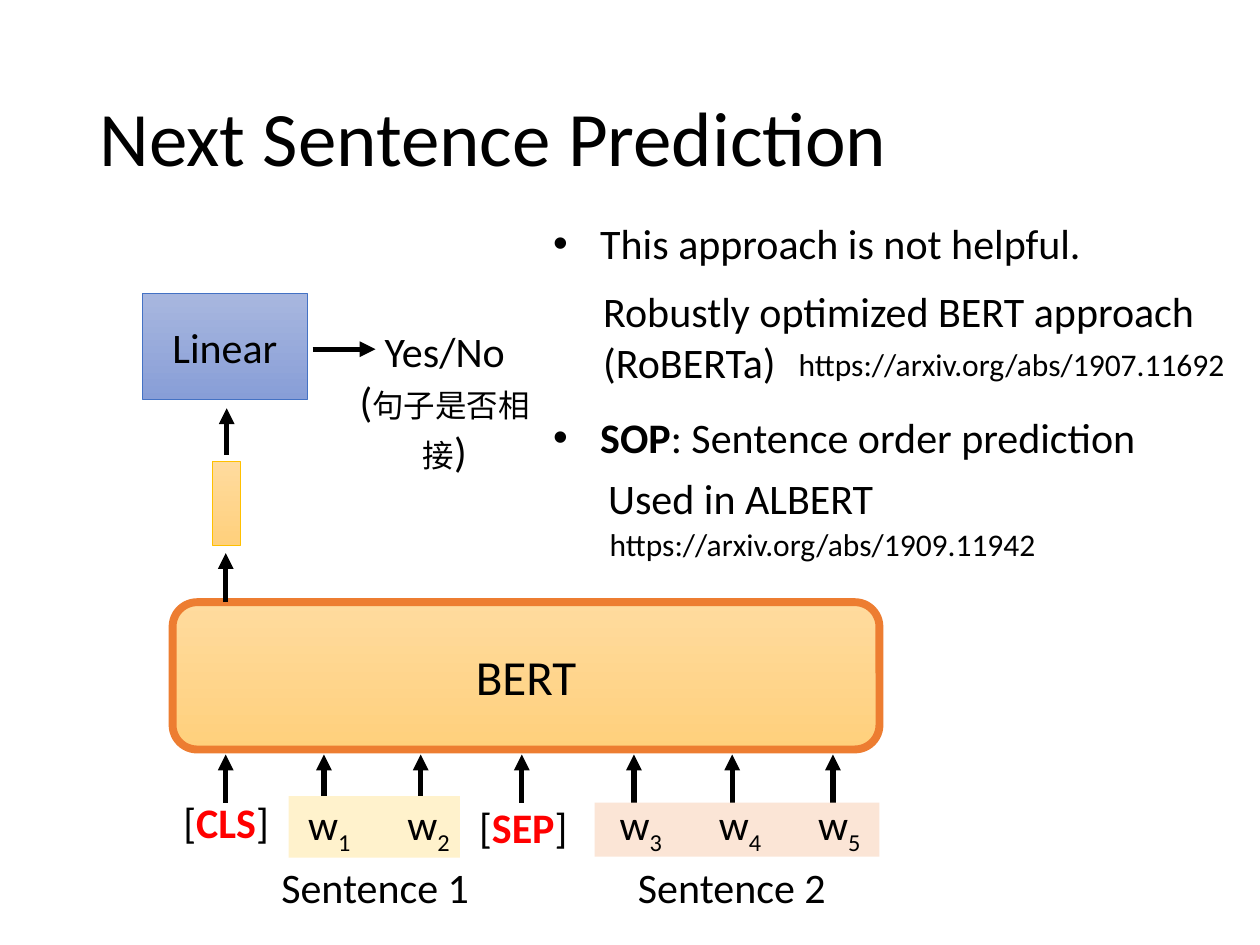
from dataclasses import dataclass

import lxml.etree
import pptx
import pptx.dml.color
import pptx.enum.shapes
import pptx.enum.text
import pptx.oxml.ns
import pptx.util

Cm = pptx.util.Cm
Pt = pptx.util.Pt
qn = pptx.oxml.ns.qn
SHAPES = pptx.enum.shapes.MSO_SHAPE
ALIGN = pptx.enum.text.PP_ALIGN
ANCHOR = pptx.enum.text.MSO_ANCHOR


@dataclass(frozen=True)
class Theme:
    font: str = "Calibri"
    ink: str = "000000"
    token: str = "FF0000"
    warm: tuple = ("FFDB9E", "FFD07C")
    cool: tuple = ("A8B7DF", "889ED7")
    model_edge: str = "ED7D31"
    vector_edge: str = "FFC000"
    linear_edge: str = "4472C4"
    first_band: str = "FFF2CC"
    second_band: str = "FBE5D6"
    title: int = 44
    model: int = 28
    body: int = 24
    small: int = 18
    arrow: int = 3


THEME = Theme()


def rgb(code):
    return pptx.dml.color.RGBColor.from_string(code)


def add_run(paragraph, text, size=THEME.body, color=THEME.ink, bold=False, subscript=False):
    run = paragraph.add_run()
    run.text = text
    run.font.name = THEME.font
    run.font.size = Pt(size)
    run.font.bold = bold
    run.font.color.rgb = rgb(color)
    if subscript:
        run.font._element.set("baseline", "-25000")


def add_text(shapes, box, *lines, align=ALIGN.LEFT, bullet=False):
    frame = shapes.add_textbox(*map(Cm, box)).text_frame
    frame.word_wrap = True
    frame.auto_size = pptx.enum.text.MSO_AUTO_SIZE.SHAPE_TO_FIT_TEXT
    for index, runs in enumerate(lines):
        paragraph = frame.add_paragraph() if index else frame.paragraphs[0]
        paragraph.alignment = align
        if bullet:
            add_bullet(paragraph)
        for text, style in runs:
            add_run(paragraph, text, **style)


def add_bullet(paragraph):
    properties = paragraph._p.get_or_add_pPr()
    indent = Cm(0.95)
    properties.set("marL", str(indent))
    properties.set("indent", str(-indent))
    lxml.etree.SubElement(properties, qn("a:buFont")).set("typeface", "Arial")
    lxml.etree.SubElement(properties, qn("a:buChar")).set("char", "•")


def add_block(shapes, kind, box, colors, edge, edge_width, label="", size=THEME.body):
    block = shapes.add_shape(kind, *map(Cm, box))
    block.shadow.inherit = False
    block.fill.gradient()
    block.fill.gradient_angle = 270
    for stop, color in zip(block.fill.gradient_stops, colors):
        stop.color.rgb = rgb(color)
    block.line.color.rgb = rgb(edge)
    block.line.width = Pt(edge_width)
    if label:
        block.text_frame.vertical_anchor = ANCHOR.MIDDLE
        paragraph = block.text_frame.paragraphs[0]
        paragraph.alignment = ALIGN.CENTER
        add_run(paragraph, label, size)


def add_arrow(shapes, *ends):
    arrow = shapes.add_connector(pptx.enum.shapes.MSO_CONNECTOR.STRAIGHT, *map(Cm, ends))
    arrow.line.color.rgb = rgb(THEME.ink)
    arrow.line.width = Pt(THEME.arrow)
    properties = arrow._element.spPr
    lxml.etree.SubElement(properties.find(qn("a:ln")), qn("a:tailEnd")).set("type", "triangle")
    lxml.etree.SubElement(properties, qn("a:effectLst"))


def add_special_token(shapes, left, top, name):
    runs = [("[", {}), (name, {"color": THEME.token, "bold": True}), ("]", {})]
    add_text(shapes, (left, top, 2.92, 1.27), runs, align=ALIGN.CENTER)


def add_sentence(shapes, band_box, color, word_left, numbers, caption_left, caption):
    sentence = shapes.add_group_shape().shapes
    band = sentence.add_shape(SHAPES.RECTANGLE, *map(Cm, band_box))
    band.shadow.inherit = False
    band.fill.solid()
    band.fill.fore_color.rgb = rgb(color)
    band.line.fill.background()
    for index, number in enumerate(numbers):
        word = [("w", {}), (str(number), {"subscript": True})]
        add_text(sentence, (word_left + 2 * index, 15.98, 2.92, 1.27), word, align=ALIGN.CENTER)
    add_text(sentence, (caption_left, 17.25, 4.57, 1.27), [(caption, {})], align=ALIGN.CENTER)


def set_title(title, text):
    title.left, title.top, title.width, title.height = map(Cm, (1.75, 1.02, 21.89, 3.68))
    title.text_frame.vertical_anchor = ANCHOR.MIDDLE
    paragraph = title.text_frame.paragraphs[0]
    paragraph.alignment = ALIGN.LEFT
    paragraph.line_spacing = 0.9
    add_run(paragraph, text, THEME.title)


def add_network(shapes):
    add_block(shapes, SHAPES.ROUNDED_RECTANGLE, (3.48, 12.14, 14.25, 2.97),
              THEME.warm, THEME.model_edge, 4.5, "BERT", THEME.model)
    add_block(shapes, SHAPES.RECTANGLE, (4.29, 9.3, 0.56, 1.7),
              THEME.warm, THEME.vector_edge, 0.5)
    add_block(shapes, SHAPES.RECTANGLE, (2.87, 5.92, 3.33, 2.13),
              THEME.cool, THEME.linear_edge, 0.5, "Linear")
    for input_x in (4.55, 6.53, 8.48, 10.52, 12.78, 14.76, 16.79):
        add_arrow(shapes, input_x, 16.18, input_x, 15.21)
    add_arrow(shapes, 4.55, 12.14, 4.55, 11.15)
    add_arrow(shapes, 4.57, 9.17, 4.57, 8.23)
    add_arrow(shapes, 6.3, 7.04, 7.57, 7.04)
    add_text(shapes, (6.63, 6.43, 4.67, 2.31), [("Yes/No", {})],
             [("(", {}), ("句子是否相接", {"size": THEME.small}), (")", {})],
             align=ALIGN.CENTER)


def add_inputs(shapes):
    add_special_token(shapes, 3.1, 15.93, "CLS")
    add_special_token(shapes, 9.09, 16.03, "SEP")
    add_sentence(shapes, (5.82, 16.05, 3.45, 1.24), THEME.first_band,
                 5.18, (1, 2), 5.28, "Sentence 1")
    add_sentence(shapes, (11.99, 16.18, 5.74, 1.09), THEME.second_band,
                 11.46, (3, 4, 5), 12.47, "Sentence 2")


def add_findings(shapes):
    link = {"size": THEME.small}
    add_text(shapes, (10.9, 4.27, 13.59, 1.27),
             [("This approach is not helpful.", {})], bullet=True)
    add_text(shapes, (11.91, 5.64, 12.6, 2.31),
             [("Robustly optimized BERT approach (RoBERTa)", {})])
    add_text(shapes, (15.85, 6.83, 12.7, 1.02), [("https://arxiv.org/abs/1907.11692", link)])
    add_text(shapes, (10.9, 8.18, 12.57, 1.27),
             [("SOP", {"bold": True}), (": Sentence order prediction", {})], bullet=True)
    add_text(shapes, (12.01, 9.4, 8.46, 1.27), [("Used in ALBERT", {})])
    add_text(shapes, (12.04, 10.46, 9.4, 1.02), [("https://arxiv.org/abs/1909.11942", link)])


def main():
    deck = pptx.Presentation()
    deck.slide_width, deck.slide_height = Cm(25.4), Cm(19.05)
    slide = deck.slides.add_slide(deck.slide_layouts[5])
    set_title(slide.shapes.title, "Next Sentence Prediction")
    add_network(slide.shapes)
    add_inputs(slide.shapes)
    add_findings(slide.shapes)
    deck.save("out.pptx")


if __name__ == "__main__":
    main()
